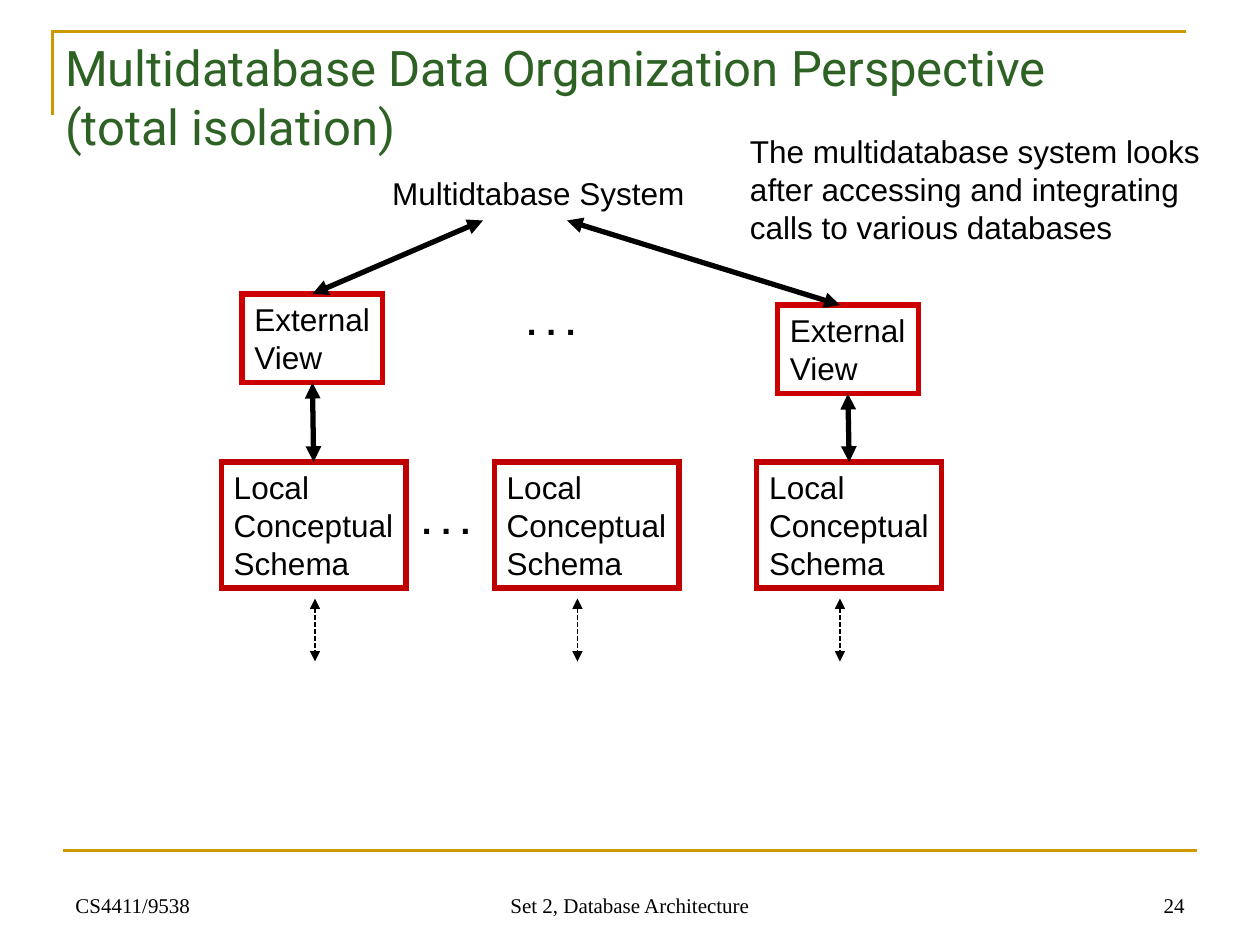
import pptx
import pptx.util
import pptx.dml.color
import pptx.enum.dml
import pptx.enum.shapes
import pptx.enum.text
import pptx.oxml
from dataclasses import dataclass

Pt = pptx.util.Pt
Align = pptx.enum.text.PP_ALIGN
Anchor = pptx.enum.text.MSO_ANCHOR
AutoSize = pptx.enum.text.MSO_AUTO_SIZE


@dataclass(frozen=True)
class Theme:
    """Colours, fonts and sizes of the slide."""
    title: str = "2D6224"
    ink: str = "000000"
    rule: str = "CC9900"
    view: str = "CC0000"
    schema: str = "C00000"
    title_font: str = "Roboto"
    body_font: str = "Arial"
    footer_font: str = "Times New Roman"
    title_size: float = 28
    body_size: float = 18
    dots_size: float = 20
    footer_size: float = 12
    heavy: float = 3
    rule_width: float = 1.5
    thin: float = 1


THEME = Theme()

# Content; all lengths are points, boxes are (left, top, width, height).
TITLE = "Multidatabase Data Organization Perspective\v(total isolation)"
TITLE_BOX = (30, 18, 690, 68.5)
CORNER_RULE = ((30, 66), (30, 18), (678, 18))
FOOTER_RULE = ((36, 486), (684, 486))
FOOTERS = [
    ("CS4411/9538", 36, 168, Align.LEFT),
    ("Set 2, Database Architecture", 246, 228, Align.CENTER),
    ("24", 516, 168, Align.RIGHT),
]
FOOTER_TOP, FOOTER_HEIGHT = 492, 36

SYSTEM = ("Multidtabase System", (217, 96, 181.5, 29))
NOTE = ("The multidatabase system looks\nafter accessing and integrating\n"
        "calls to various databases", (421.5, 72, 271.5, 72))
DOTS = ". . ."
DOTS_SIZE = (48, 31.5)
DOTS_SPOTS = [(234, 282), (294, 168)]

VIEW = "External\nView"
VIEW_SIZE = (80.5, 50.7)
SCHEMA = "Local \vConceptual\nSchema"
SCHEMA_SIZE = (105.5, 72)
SCHEMA_TOP = 264
SCHEMA_LEFTS = [126.5, 282.5, 432.5]
BOX_RIGHT_MARGIN = 3  # leaves the longest word room to stay whole
# View corner, matching system arrow end, view arrow end, schema index
VIEWS = [
    {"corner": (138.3, 168), "system": (276, 126), "top_x": 178.5, "schema": 0},
    {"corner": (444.3, 174.3), "system": (324, 126), "top_x": 480, "schema": 2},
]
DATA_ARROW_XS = [180, 330, 480]
DATA_ARROW_TOP, DATA_ARROW_BOTTOM = 342, 378


def rgb(value):
    """Return a colour from its hex value."""
    return pptx.dml.color.RGBColor.from_string(value)


def points(values):
    """Convert plain numbers to point lengths."""
    return [Pt(value) for value in values]


def write(frame, text, font, size, color=THEME.ink, align=Align.LEFT,
          anchor=Anchor.TOP, bold=False, wrap=False, fit=AutoSize.NONE):
    """Fill a text frame and format its paragraphs alike."""
    frame.text = text
    frame.word_wrap = wrap
    frame.auto_size = fit
    frame.vertical_anchor = anchor
    for paragraph in frame.paragraphs:
        paragraph.alignment = align
        paragraph.font.name = font
        paragraph.font.size = Pt(size)
        paragraph.font.bold = bold
        paragraph.font.color.rgb = rgb(color)


def add_label(slide, text, box, size=THEME.body_size, font=THEME.body_font, **style):
    """Add a text box."""
    label = slide.shapes.add_textbox(*points(box))
    write(label.text_frame, text, font, size, **style)


def outline(shape, color, width):
    """Give a shape no fill and a sharp-cornered outline."""
    shape.shadow.inherit = False
    shape.fill.background()
    shape.line.color.rgb = rgb(color)
    shape.line.width = Pt(width)
    join = pptx.oxml.xmlchemy.OxmlElement("a:miter")
    join.set("lim", "800000")
    shape.line._get_or_add_ln().append(join)


def add_box(slide, text, box, color):
    """Add an outlined rectangle with text."""
    frame = slide.shapes.add_shape(
        pptx.enum.shapes.MSO_SHAPE.RECTANGLE, *points(box))
    outline(frame, color, THEME.heavy)
    write(frame.text_frame, text, THEME.body_font, THEME.body_size)
    frame.text_frame.margin_right = Pt(BOX_RIGHT_MARGIN)
    frame.text_frame.word_wrap = True


def add_line(slide, start, end, color=THEME.ink, width=THEME.heavy,
             arrows=True, dashed=False):
    """Add a straight line, by default with a head at both ends."""
    line = slide.shapes.add_connector(
        pptx.enum.shapes.MSO_CONNECTOR.STRAIGHT, *points(start + end))
    line.line.color.rgb = rgb(color)
    line.line.width = Pt(width)
    if dashed:
        line.line.dash_style = pptx.enum.dml.MSO_LINE.SQUARE_DOT
    if arrows:
        for tag in ("a:headEnd", "a:tailEnd"):
            end_mark = pptx.oxml.xmlchemy.OxmlElement(tag)
            end_mark.set("type", "triangle")
            line.line._get_or_add_ln().append(end_mark)
    line._element.spPr.append(pptx.oxml.xmlchemy.OxmlElement("a:effectLst"))


def add_frame(slide):
    """Add the title, the rules and the footer."""
    title = slide.shapes.title
    title.left, title.top, title.width, title.height = points(TITLE_BOX)
    write(title.text_frame, TITLE, THEME.title_font, THEME.title_size,
          THEME.title, wrap=True)
    builder = slide.shapes.build_freeform(*points(CORNER_RULE[0]))
    builder.add_line_segments([points(spot) for spot in CORNER_RULE[1:]], close=False)
    outline(builder.convert_to_shape(), THEME.rule, THEME.rule_width)
    add_line(slide, *FOOTER_RULE, THEME.rule, THEME.rule_width, arrows=False)
    for text, left, width, align in FOOTERS:
        add_label(slide, text, (left, FOOTER_TOP, width, FOOTER_HEIGHT),
                  THEME.footer_size, THEME.footer_font, align=align,
                  anchor=Anchor.BOTTOM, wrap=True)


def add_diagram(slide):
    """Add the system, its views and schemas, and the arrows between them."""
    for text, box in (SYSTEM, NOTE):
        add_label(slide, text, box, fit=AutoSize.SHAPE_TO_FIT_TEXT)
    for spot in DOTS_SPOTS:
        add_label(slide, DOTS, spot + DOTS_SIZE, THEME.dots_size, bold=True,
                  wrap=True, fit=AutoSize.SHAPE_TO_FIT_TEXT)
    for left in SCHEMA_LEFTS:
        add_box(slide, SCHEMA, (left, SCHEMA_TOP) + SCHEMA_SIZE, THEME.schema)
    for view in VIEWS:
        left, top = view["corner"]
        add_box(slide, VIEW, (left, top) + VIEW_SIZE, THEME.view)
        add_line(slide, view["system"], (view["top_x"], top))
        schema_x = SCHEMA_LEFTS[view["schema"]] + SCHEMA_SIZE[0] / 2
        add_line(slide, (left + VIEW_SIZE[0] / 2, top + VIEW_SIZE[1]),
                 (schema_x, SCHEMA_TOP))
    for x in DATA_ARROW_XS:
        add_line(slide, (x, DATA_ARROW_TOP), (x, DATA_ARROW_BOTTOM),
                 width=THEME.thin, dashed=True)


def main():
    """Build and save the slide."""
    deck = pptx.Presentation()
    deck.slide_width, deck.slide_height = Pt(720), Pt(540)
    slide = deck.slides.add_slide(deck.slide_layouts.get_by_name("Title Only"))
    add_frame(slide)
    add_diagram(slide)
    deck.save("out.pptx")


main()
